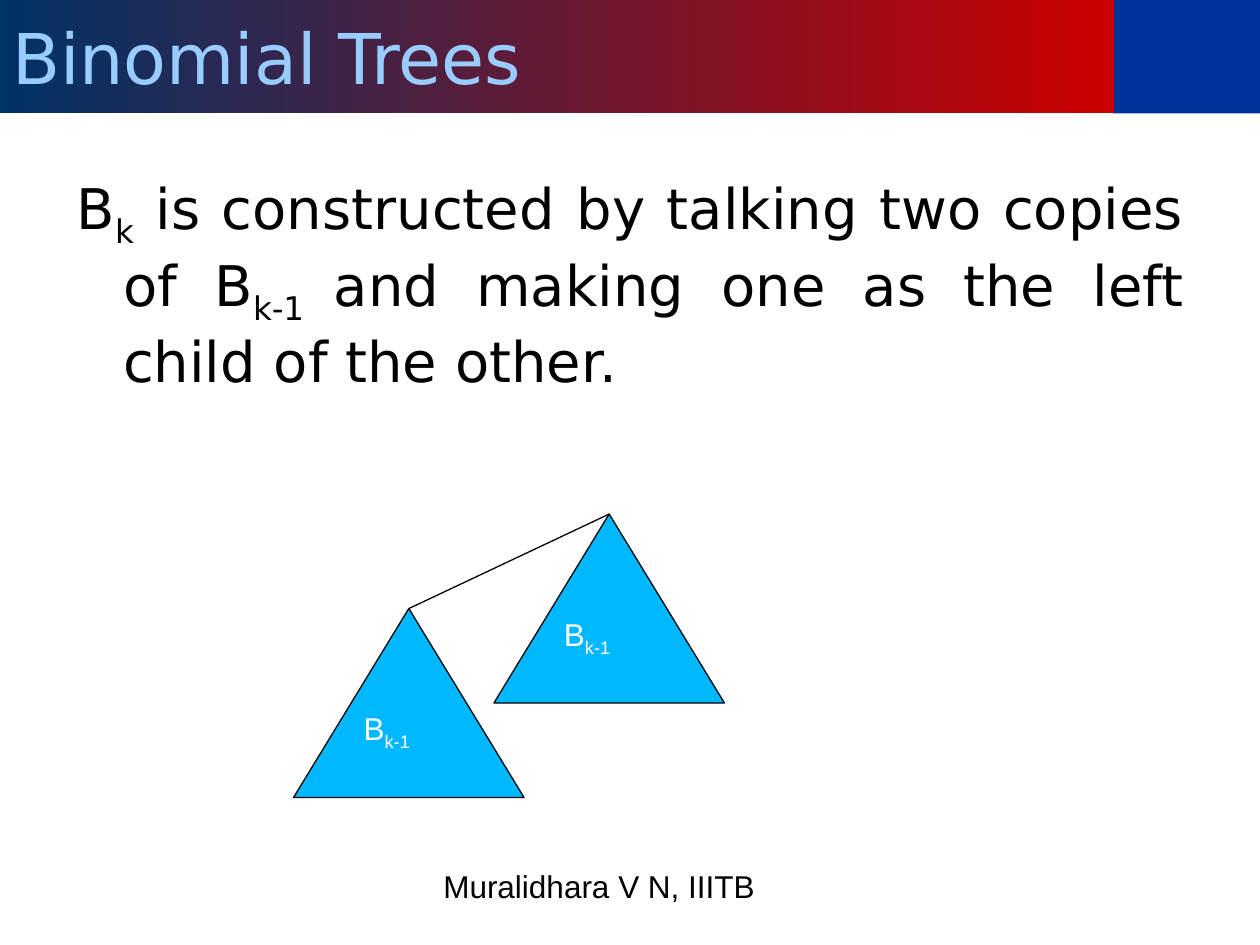
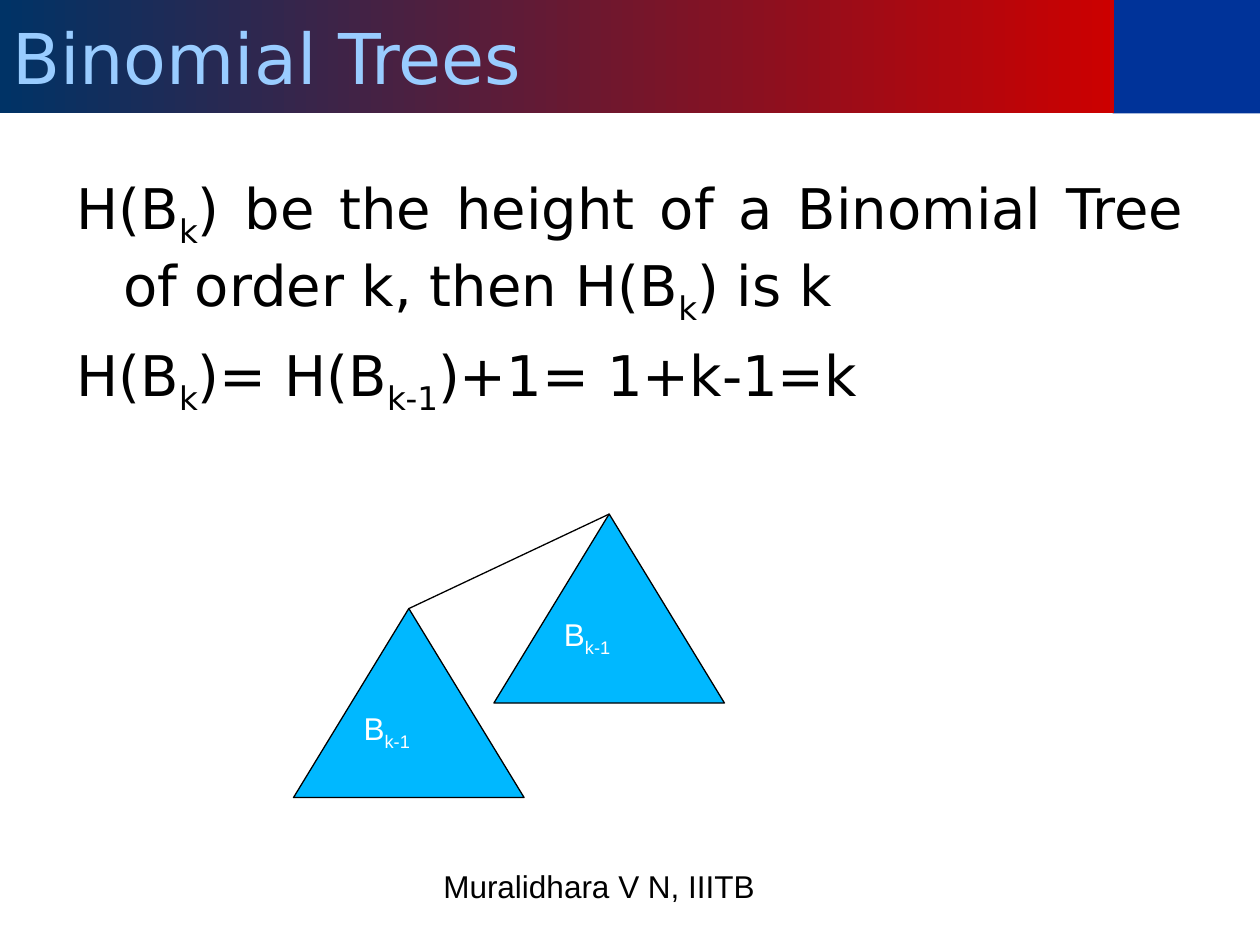
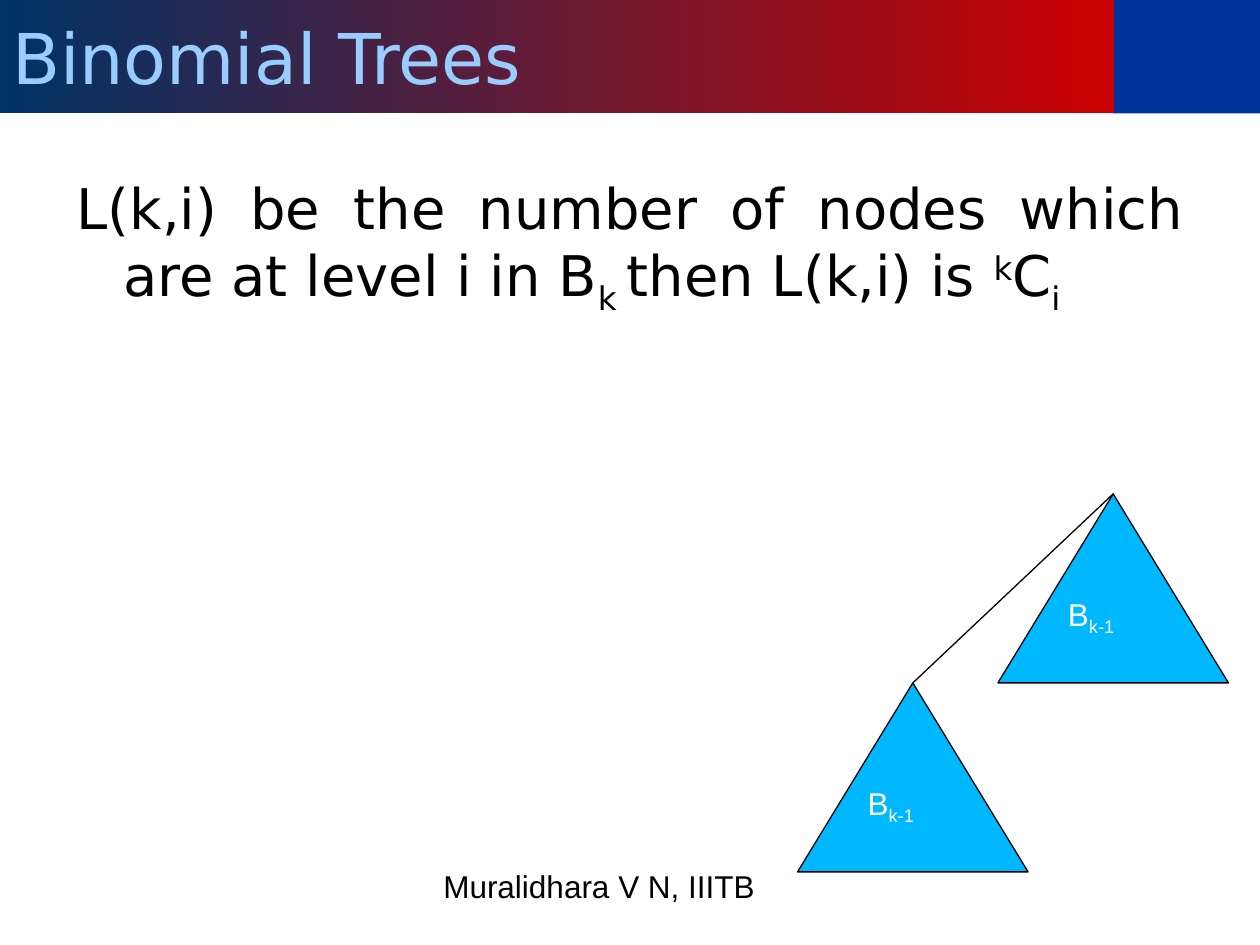
from pptx import Presentation
from pptx.dml.color import RGBColor
from pptx.enum.shapes import MSO_CONNECTOR, MSO_SHAPE
from pptx.enum.text import MSO_ANCHOR, PP_ALIGN
from pptx.oxml.ns import qn
from pptx.util import Inches, Pt
from lxml import etree

RECT, PEAK = MSO_SHAPE.RECTANGLE, MSO_SHAPE.ISOSCELES_TRIANGLE
LINE = MSO_CONNECTOR.STRAIGHT
TOP, MID = MSO_ANCHOR.TOP, MSO_ANCHOR.MIDDLE
LEFT, JUST = PP_ALIGN.LEFT, PP_ALIGN.JUSTIFY

# Text styles: font attributes plus a colour
HEAD = ({"name": "DejaVu Sans", "size": Pt(40)}, "99CCFF")
BODY = ({"name": "DejaVu Sans", "size": Pt(32)}, "000000")
FOOT = ({"name": "Arial", "size": Pt(18)}, "000000")
NODE = ({"name": "Arial", "size": Pt(18)}, "FFFFFF")

# Baseline shifts, in thousandths of a percent
SUB, SUP = -25000, 30000

# Shared sizes in inches
BAND, SPLIT = 0.9, 8.84
WIDE, HIGH = 1.83, 1.5


def rgb(code):
    return RGBColor.from_string(code)


def write(shape, paras, style, align=LEFT, anchor=TOP):
    """Fill a shape with paragraphs; a run is a string or (string, shift)."""
    frame = shape.text_frame
    frame.word_wrap = True
    frame.vertical_anchor = anchor
    for i, runs in enumerate(paras):
        para = frame.add_paragraph() if i else frame.paragraphs[0]
        para.alignment = align
        for item in runs:
            text, shift = (item, 0) if isinstance(item, str) else item
            run = para.add_run()
            run.text = text
            for key, val in style[0].items():
                setattr(run.font, key, val)
            run.font.color.rgb = rgb(style[1])
            if shift:
                run._r.get_or_add_rPr().set("baseline", str(shift))


# Each slide: body paragraphs, then the left top corners of child and parent
K, K1 = ("k", SUB), ("k-1", SUB)
NEAR = [(2.33, 4.83), (3.92, 4.08)]
FAR = [(6.33, 5.42), (7.92, 3.92)]
pages = [
    ([["B", K, " is constructed by talking two copies of B", ("k-1 ", SUB),
       "and making one as the left child of the other."]], NEAR),
    ([["H(B", K, ") be the height of a Binomial Tree of order k, then H(B",
       K, ") is k"],
      ["H(B", K, ")= H(B", K1, ")+1= 1+k-1=k"]], NEAR),
    ([["L(k,i) be the number of nodes which are at level i in B", ("k ", SUB),
       "then L(k,i) is ", ("k", SUP), "C", ("i", SUB)]], FAR),
]

deck = Presentation()
deck.slide_width, deck.slide_height = Inches(10), Inches(7.5)

for paras, spots in pages:
    slide = deck.slides.add_slide(deck.slide_layouts[6])
    shapes = slide.shapes

    # Blue corner
    block = shapes.add_shape(RECT, Inches(SPLIT - 0.01), 0,
                             Inches(10.01 - SPLIT), Inches(BAND))
    block.shadow.inherit = False
    block.fill.solid()
    block.fill.fore_color.rgb = rgb("003399")
    block.line.fill.background()

    # Title band
    band = shapes.add_shape(RECT, 0, 0, Inches(SPLIT), Inches(BAND))
    band.shadow.inherit = False
    band.fill.gradient()
    band.fill.gradient_angle = 180
    for stop, code in zip(band.fill.gradient_stops, ("CC0000", "003366")):
        stop.color.rgb = rgb(code)
    band.line.fill.background()
    write(band, [["Binomial Trees"]], HEAD, anchor=MID)

    # Body with hanging indent
    body = shapes.add_textbox(Inches(0.5), Inches(1.33), Inches(9), Inches(5.37))
    write(body, paras, BODY, JUST)
    for para in body.text_frame.paragraphs:
        para.space_before = Pt(8)
        props = para._p.get_or_add_pPr()
        props.set("marL", str(Inches(0.38)))
        props.set("indent", str(Inches(-0.37)))

    # Footer
    foot = shapes.add_textbox(Inches(3.42), Inches(6.83), Inches(4.92), Inches(0.52))
    write(foot, [["Muralidhara V N, IIITB"]], FOOT)

    # Two subtrees
    tips = []
    for x, y in spots:
        tree = shapes.add_shape(PEAK, Inches(x), Inches(y), Inches(WIDE), Inches(HIGH))
        tree.shadow.inherit = False
        tree.fill.solid()
        tree.fill.fore_color.rgb = rgb("00B8FF")
        tree.line.color.rgb = rgb("000000")
        tree.line.width = Pt(0.75)
        write(tree, [["B", K1]], NODE)
        tips += [Inches(x + WIDE / 2), Inches(y)]

    # Edge between the roots
    edge = shapes.add_connector(LINE, *tips)
    edge.line.color.rgb = rgb("000000")
    edge.line.width = Pt(0.75)
    etree.SubElement(edge._element.spPr, qn("a:effectLst"))

deck.save("out.pptx")
